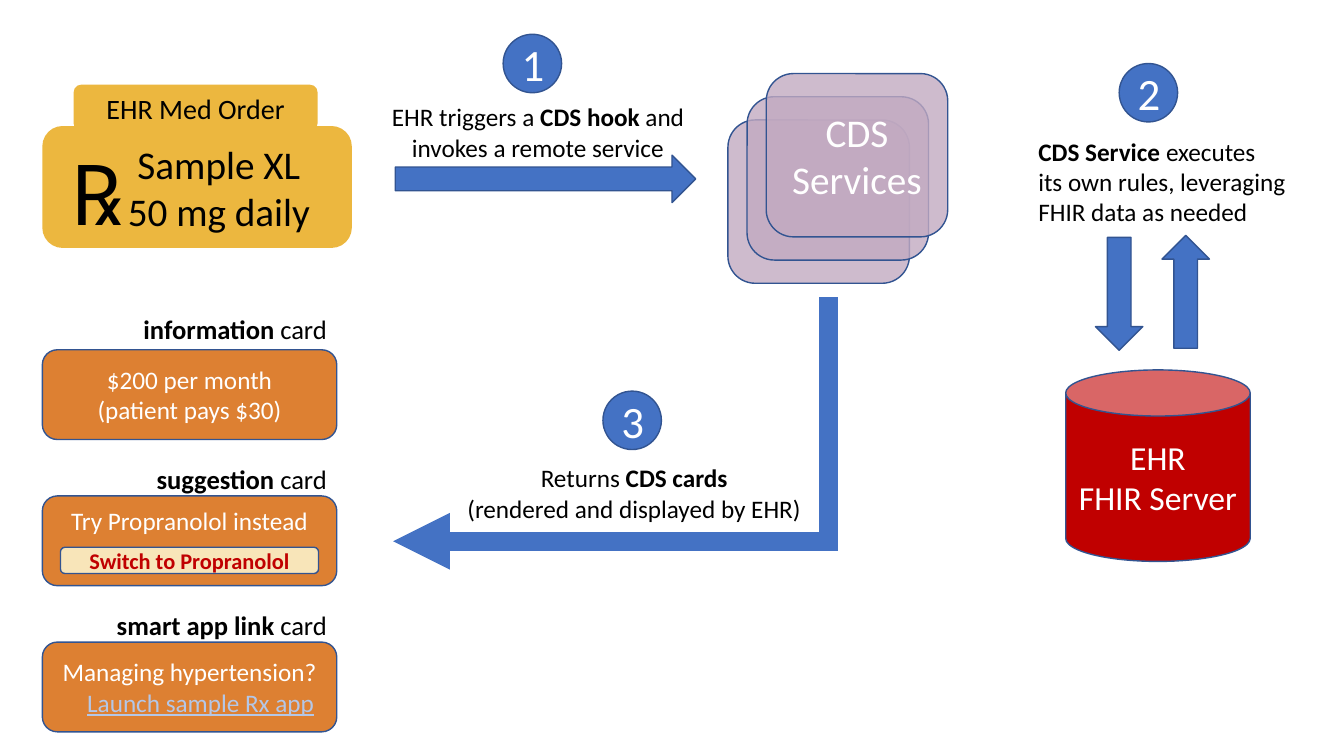
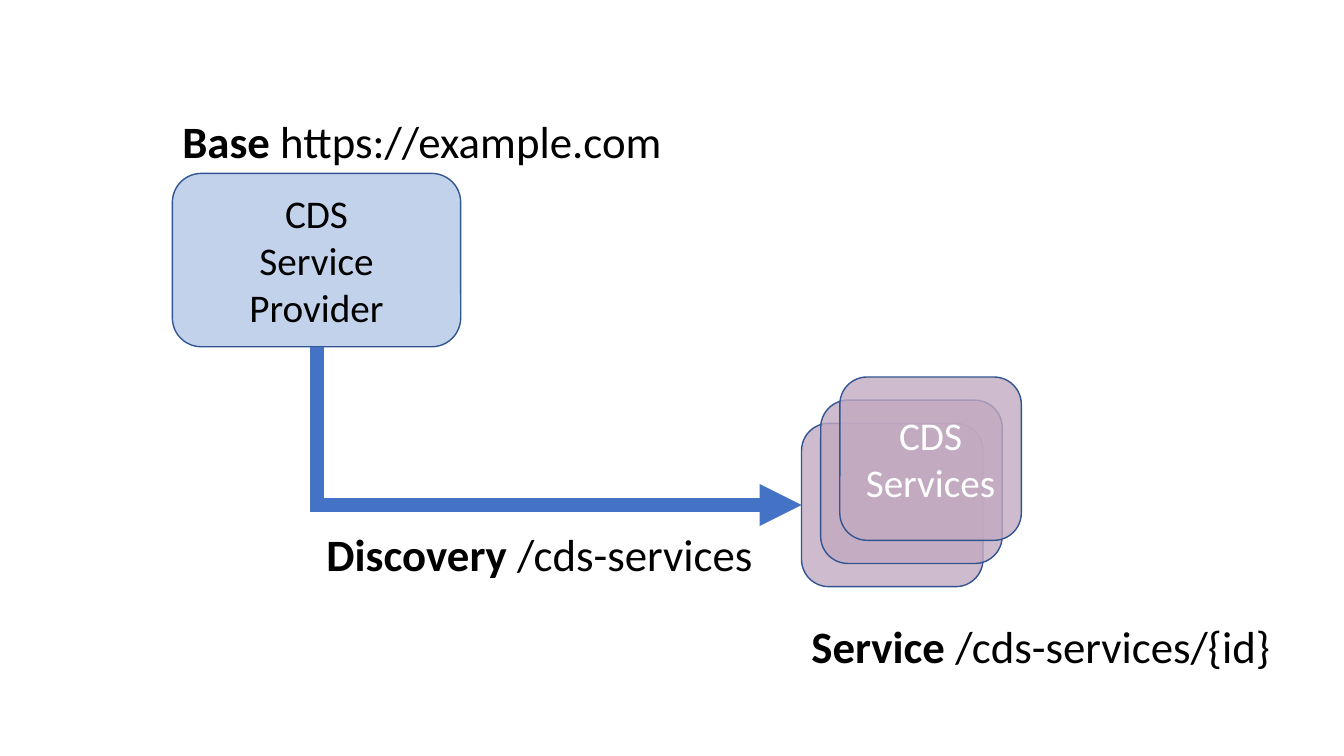
from pptx import Presentation
from pptx.dml.color import RGBColor
from pptx.enum.shapes import MSO_CONNECTOR, MSO_SHAPE
from pptx.enum.text import MSO_ANCHOR, MSO_AUTO_SIZE, PP_ALIGN
from pptx.oxml.ns import qn
from pptx.util import Inches, Pt
from lxml.etree import SubElement

BLUE, EDGE, GOLD, ORANGE = "4472C4", "325491", "ECB73F", "DD8032"
RED, CREAM, MAUVE, PALE = "C00000", "F8E5B9", "C2AAC1", "B4C7E7"
WHITE, BLACK = "FFFFFF", "000000"
LEFT, MID, RIGHT = PP_ALIGN.LEFT, PP_ALIGN.CENTER, PP_ALIGN.RIGHT
ROUND, ARROW = MSO_SHAPE.ROUNDED_RECTANGLE, MSO_SHAPE.RIGHT_ARROW


def paint(fill, color, alpha=None):
    fill.solid()
    fill.fore_color.rgb = RGBColor.from_string(color)
    if alpha:
        node = fill._xPr.find(qn("a:solidFill"))[0]
        SubElement(node, qn("a:alpha")).set("val", str(alpha * 1000))


def put(page, kind, box, text="", size=18, color=BLACK, align=MID,
        fill=None, edge=EDGE, alpha=None, turn=0, **frame):
    place = [Inches(n) for n in box]
    if kind is None:
        shape = page.add_textbox(*place)
        form = {"auto_size": MSO_AUTO_SIZE.SHAPE_TO_FIT_TEXT}
    else:
        shape = page.add_shape(kind, *place)
        shape.shadow.inherit = False
        shape.rotation = turn
        paint(shape.fill, fill, alpha)
        if edge:
            paint(shape.line.fill, edge)
            shape.line.width = Pt(1)
        else:
            shape.line.fill.background()
        form = {"vertical_anchor": MSO_ANCHOR.MIDDLE}
    for key, val in {"word_wrap": True, **form, **frame}.items():
        setattr(shape.text_frame, key, val)
    for i, row in enumerate(text.split("\n") if text else []):
        para = shape.text_frame.add_paragraph() if i else shape.text_frame.paragraphs[0]
        para.alignment = align
        for j, part in enumerate(row.split("*")):
            if part:
                run = para.add_run()
                run.text = part
                for key, val in {"name": "Calibri", "size": Pt(size), "bold": j % 2 == 1}.items():
                    setattr(run.font, key, val)
                paint(run.font.fill, color)
    return shape


deck = Presentation()
deck.slide_width, deck.slide_height = Inches(13.33), Inches(7.5)
flow = deck.slides.add_slide(deck.slide_layouts[6]).shapes
site = deck.slides.add_slide(deck.slide_layouts[6]).shapes

backs = []
for page, x, y in ((flow, 7.22, 1.19), (site, 7.95, 4.2)):
    group = page.add_group_shape().shapes
    for i, text in enumerate(("", "", "CDS\nServices")):
        card = put(group, ROUND, (x + 0.19 * i, y - 0.23 * i, 1.8, 1.62), text,
                   28, WHITE, fill=MAUVE, alpha=80)
        if i == 0:
            backs.append(card)

order = flow.add_group_shape().shapes
put(order, ROUND, (0.42, 1.25, 3.07, 1.21), "Sample XL\n50 mg daily", 28,
    fill=GOLD, edge=None, margin_left=Inches(0.53))
put(order, ROUND, (0.73, 0.84, 2.42, 0.46), "EHR Med Order", 20, fill=GOLD, edge=None)
put(order, None, (0.6, 1.35, 0.62, 1.11), "℞", 60, align=LEFT, word_wrap=False)

for box, turn in (((3.92, 1.54, 2.98, 0.47), 0),
                  ((10.54, 2.68, 1.12, 0.47), 90),
                  ((11.2, 2.66, 1.12, 0.47), 270)):
    put(flow, ARROW, box, fill=BLUE, turn=turn)

for num, (x, y) in enumerate(((4.99, 0.34), (11.1, 0.63), (5.98, 3.88)), 1):
    put(flow, MSO_SHAPE.OVAL, (x, y, 0.58, 0.58), str(num), 32, WHITE, fill=BLUE)

put(flow, None, (3.78, 0.96, 3.11, 0.71),
    "EHR triggers a *CDS hook* and invokes a remote service")
put(flow, None, (10.2, 1.3, 2.74, 1.01),
    "*CDS Service *executes\nits own rules, leveraging FHIR data as needed", align=LEFT)
put(flow, None, (4.47, 4.54, 3.64, 0.71),
    "Returns *CDS cards*\n(rendered and displayed by EHR)")
put(flow, MSO_SHAPE.CAN, (10.57, 3.67, 1.83, 1.9), "EHR\nFHIR Server", 24, WHITE, fill=RED)

cards = (
    (3.06, "*information* card", 3.47, "$200 per month\n(patient pays $30)", MSO_ANCHOR.MIDDLE),
    (4.54, "*suggestion* card", 4.92, "Try Propranolol instead", MSO_ANCHOR.TOP),
    (5.99, "*smart app link *card", 6.37, "Managing hypertension?\nLaunch sample Rx app",
     MSO_ANCHOR.MIDDLE),
)
for top, label, y, text, anchor in cards:
    put(flow, None, (0.42, top, 2.92, 0.4), label, 19, align=RIGHT)
    card = put(flow, ROUND, (0.42, y, 2.92, 0.89), text, color=WHITE,
               fill=ORANGE, vertical_anchor=anchor)
launch = card.text_frame.paragraphs[1]
launch._p.get_or_add_pPr().set("marL", str(Inches(0.22)))
launch.runs[0].font.underline = True
paint(launch.runs[0].font.fill, PALE)
put(flow, ROUND, (0.6, 5.43, 2.56, 0.26), "*Switch to Propranolol*", 16, RED, fill=CREAM)

host = put(site, ROUND, (1.71, 1.72, 2.86, 1.72), "CDS\nService Provider", 28,
           fill=PALE, alpha=80)
for x, y, wide, text in ((1.71, 1.08, 6.49, "*Base *https://example.com"),
                         (3.14, 5.18, 4.43, "*Discovery* /cds-services"),
                         (7.95, 6.09, 4.99, "*Service* /cds-services/{id}")):
    put(site, None, (x, y, wide, 0.64), text, 32, align=LEFT)

reply = flow.add_connector(MSO_CONNECTOR.ELBOW, *[Inches(n) for n in (8.31, 3.04, 3.9, 5.37)])
find = site.add_connector(MSO_CONNECTOR.ELBOW, *[Inches(n) for n in (3.14, 3.44, 7.95, 5.01)])
find.begin_connect(host, 2)
find.end_connect(backs[1], 1)

for link, width in ((reply, 13.5), (find, 10)):
    paint(link.line.fill, BLUE)
    link.line.width = Pt(width)
    pen = link.line._get_or_add_ln()
    SubElement(pen, qn("a:miter")).set("lim", "800000")
    SubElement(pen, qn("a:tailEnd")).set("type", "triangle")
    SubElement(link._element.spPr, qn("a:effectLst"))

bend = reply._element.spPr.find(qn("a:prstGeom")).find(qn("a:avLst"))
guide = SubElement(bend, qn("a:gd"))
guide.set("name", "adj1")
guide.set("fmla", "val 2100")

find._element.spPr.find(qn("a:prstGeom")).set("prst", "bentConnector2")
frame = find._element.spPr.find(qn("a:xfrm"))
for key, val in {"rot": "16200000", "flipH": "1"}.items():
    frame.set(key, val)
for key, val in {"left": 4.76, "top": 1.82, "width": 1.57, "height": 4.81}.items():
    setattr(find, key, Inches(val))

deck.save("out.pptx")
